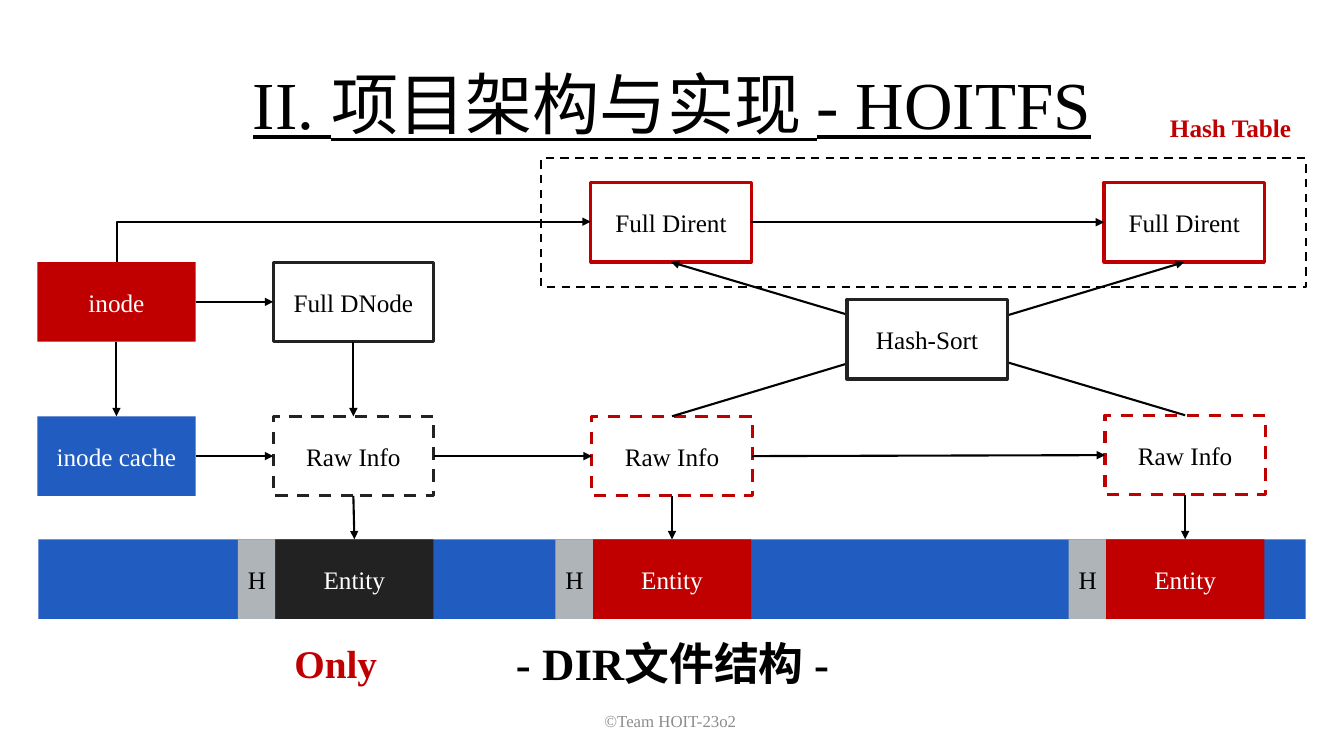
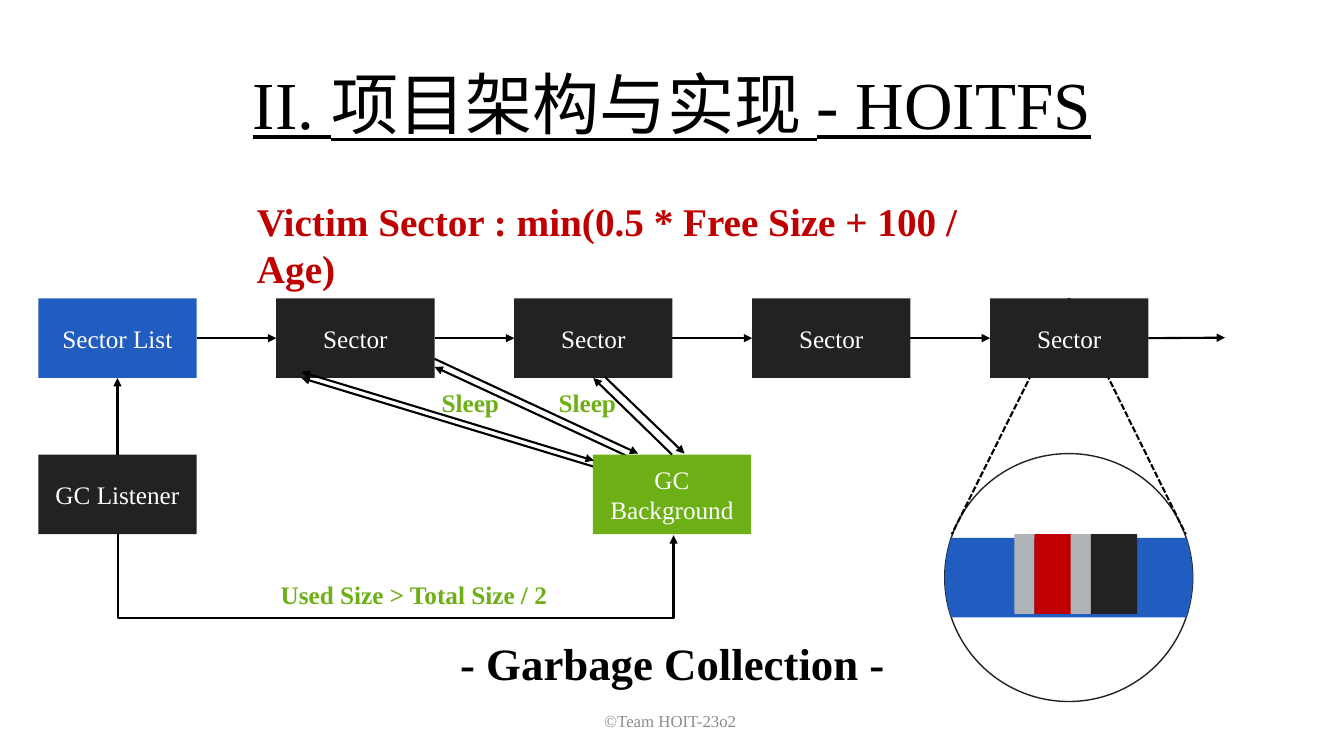
from dataclasses import dataclass
from math import asin, cos, pi, sin
from typing import Any, Optional

from lxml import etree
from pptx import Presentation
from pptx.dml.color import RGBColor
from pptx.enum.dml import MSO_LINE
from pptx.enum.shapes import MSO_CONNECTOR, MSO_SHAPE
from pptx.enum.text import MSO_ANCHOR, MSO_AUTO_SIZE, PP_ALIGN
from pptx.oxml.ns import qn
from pptx.util import Emu, Pt

# Shared style
RECT, OVAL = MSO_SHAPE.RECTANGLE, MSO_SHAPE.OVAL
STRAIGHT, ELBOW = MSO_CONNECTOR.STRAIGHT, MSO_CONNECTOR.ELBOW
DASH, FINE_DASH = MSO_LINE.DASH, MSO_LINE.SQUARE_DOT
TOP, MIDDLE = MSO_ANCHOR.TOP, MSO_ANCHOR.MIDDLE
LEFT, CENTER = PP_ALIGN.LEFT, PP_ALIGN.CENTER
NORTH, WEST, SOUTH, EAST = range(4)
FONT = "Times New Roman"
BLUE, RED, DARK, GREY = "215CC1", "C00000", "222222", "AFB4B9"
GREEN, BLACK, WHITE, FOOT = "6DB015", "000000", "FFFFFF", "8C8C8C"
EMU_PER_PX = 9144  # 100 px to the inch
BOX_W, FRAME_W, BOX_H = 157, 159, 79
TITLE = "II. 项目架构与实现 - HOITFS"
FOOTER = "©Team HOIT-23o2 "


@dataclass
class Box:
    x: int
    y: int
    text: str = ""
    fill: Optional[str] = None
    color: str = WHITE
    w: int = BOX_W
    h: int = BOX_H
    line: Optional[str] = None
    weight: float = 2.25
    dash: Any = None
    kind: Any = RECT


@dataclass
class Label:
    x: int
    y: int
    w: int
    h: int
    text: str
    size: int = 18
    color: str = RED
    bold: bool = True
    align: Any = CENTER
    anchor: Any = TOP


@dataclass
class Link:
    start: Any  # (shape, side) or (x, y)
    end: Any
    head: bool = False
    tail: bool = True
    dash: Any = None


def px(n: float) -> Emu:
    return Emu(round(n * EMU_PER_PX))


def rgb(value: str) -> RGBColor:
    return RGBColor.from_string(value)


def write(sp: Any, text: str, size: int, color: str, align: Any = CENTER,
          anchor: Any = MIDDLE, bold: bool = False, underline: bool = False) -> None:
    tf = sp.text_frame
    tf.word_wrap = True
    tf.auto_size = MSO_AUTO_SIZE.NONE
    tf.vertical_anchor = anchor
    p = tf.paragraphs[0]
    p.text = text
    p.alignment = align
    font = p.font
    font.name, font.size, font.bold = FONT, Pt(size), bold
    font.underline = underline
    font.color.rgb = rgb(color)


def paint(sp: Any, fill: Optional[str], line: Optional[str] = None,
          weight: float = 1, dash: Any = None) -> None:
    sp.shadow.inherit = False
    if fill:
        sp.fill.solid()
        sp.fill.fore_color.rgb = rgb(fill)
    else:
        sp.fill.background()
    if line:
        sp.line.color.rgb = rgb(line)
        sp.line.width = Pt(weight)
        if dash:
            sp.line.dash_style = dash
    else:
        sp.line.fill.background()


def add_box(s: Any, b: Box) -> Any:
    sp = s.shapes.add_shape(b.kind, px(b.x), px(b.y), px(b.w), px(b.h))
    paint(sp, b.fill, b.line, b.weight, b.dash)
    if b.text:
        write(sp, b.text, 18, b.color)
    return sp


def frame(x: int, y: int, text: str, line: str, dash: Any = None,
          fill: Optional[str] = None) -> Box:
    return Box(x, y, text, fill, BLACK, FRAME_W, line=line, dash=dash)


def add_label(s: Any, t: Label) -> None:
    sp = s.shapes.add_textbox(px(t.x), px(t.y), px(t.w), px(t.h))
    write(sp, t.text, t.size, t.color, t.align, t.anchor, t.bold)


def style_line(cx: Any, head: bool, tail: bool, dash: Any = None) -> None:
    cx.line.color.rgb = rgb(BLACK)
    cx.line.width = Pt(1.5)
    if dash:
        cx.line.dash_style = dash
    ln = cx.line._get_or_add_ln()
    for tag, shown in (("a:headEnd", head), ("a:tailEnd", tail)):
        if shown:
            etree.SubElement(ln, qn(tag)).set("type", "triangle")
    etree.SubElement(cx._element.spPr, qn("a:effectLst"))


def add_link(s: Any, link: Link) -> None:
    glued = [not isinstance(end[0], int) for end in (link.start, link.end)]
    x1, y1 = (0, 0) if glued[0] else link.start
    x2, y2 = (0, 0) if glued[1] else link.end
    cx = s.shapes.add_connector(STRAIGHT, px(x1), px(y1), px(x2), px(y2))
    if glued[0]:
        cx.begin_connect(*link.start)
    if glued[1]:
        cx.end_connect(*link.end)
    style_line(cx, link.head, link.tail, link.dash)


def add_elbow(s: Any, start: tuple[int, int], end: tuple[int, int], preset: str,
              turn: int, flips: str, bend: Optional[int] = None) -> None:
    """Elbow that leaves vertically: a box turned by a quarter about its centre."""
    (x1, y1), (x2, y2) = start, end
    w, h = abs(y2 - y1), abs(x2 - x1)
    left, top = (x1 + x2 - w) / 2, (y1 + y2 - h) / 2
    cx = s.shapes.add_connector(ELBOW, px(left), px(top), px(left + w), px(top + h))
    xfrm = cx._element.spPr.find(qn("a:xfrm"))
    xfrm.set("rot", str(turn * 60000))
    for flip in flips:
        xfrm.set("flip" + flip, "1")
    geom = cx._element.spPr.find(qn("a:prstGeom"))
    geom.set("prst", preset)
    if bend is not None:
        guides = geom.find(qn("a:avLst"))
        if guides is None:
            guides = etree.SubElement(geom, qn("a:avLst"))
        guide = etree.SubElement(guides, qn("a:gd"))
        guide.set("name", "adj1")
        guide.set("fmla", f"val {bend * 100000}")
    style_line(cx, False, True)


def new_slide(prs: Any, caption: str) -> Any:
    s = prs.slides.add_slide(prs.slide_layouts[5])
    title = s.shapes.title
    title.left, title.top, title.width, title.height = px(128), px(57), px(1077), px(91)
    write(title, TITLE, 48, BLACK, anchor=TOP, underline=True)
    add_label(s, Label(442, 695, 450, 40, FOOTER, 12, FOOT, False, anchor=MIDDLE))
    add_label(s, Label(288, 626, 758, 64, caption, 32, BLACK))
    return s


def dir_slide(prs: Any) -> None:
    s = new_slide(prs, "- DIR 文件结构 -".replace("DIR ", "DIR"))

    # Flash band with headers and entities
    add_box(s, Box(38, 535, fill=BLUE, w=1257))
    entities = []
    for x, fill in ((273, DARK), (588, RED), (1097, RED)):
        entities.append(add_box(s, Box(x, 535, "Entity", fill)))
        add_box(s, Box(x - 37, 535, "H", GREY, BLACK, 37))

    # Nodes
    inode = add_box(s, Box(37, 260, "inode", RED))
    cache = add_box(s, Box(37, 413, "inode cache", BLUE))
    dnode = add_box(s, frame(271, 260, "Full DNode", DARK))
    raws = [add_box(s, frame(x, y, "Raw Info", line, DASH))
            for x, y, line in ((271, 413, DARK), (587, 413, RED), (1096, 412, RED))]
    dirents = [add_box(s, frame(x, 181, "Full Dirent", RED)) for x in (586, 1095)]

    # Arrows
    chain = [cache, *raws]
    across = [*zip(chain, chain[1:]), (inode, dnode), tuple(dirents)]
    down = [*zip(raws, entities), (inode, cache), (dnode, raws[0])]
    up = [(raws[2], dirents[0]), (raws[1], dirents[1])]
    for pairs, out, into in ((across, EAST, WEST), (down, SOUTH, NORTH), (up, NORTH, SOUTH)):
        for a, b in pairs:
            add_link(s, Link((a, out), (b, into)))
    add_elbow(s, (116, 260), (586, 220), "bentConnector2", 90, "HV")

    # Hash table
    add_box(s, frame(840, 297, "Hash-Sort", DARK, fill=WHITE))
    add_box(s, Box(537, 157, w=758, h=128, line=BLACK, weight=1.5, dash=DASH))
    add_label(s, Label(1147, 107, 147, 40, "Hash Table"))
    add_label(s, Label(236, 629, 194, 57, "Only", 28))


def add_zoom(s: Any, cx: int, cy: int, radius: int) -> None:
    """Circle showing the strips inside one sector."""
    add_box(s, Box(cx - radius, cy - radius, w=2 * radius, h=2 * radius,
                   line=DARK, weight=1, kind=OVAL))
    half = asin(BOX_H / 2 / radius)
    steps = 12
    points = [(px(cx + radius * cos(a)), px(cy + radius * sin(a)))
              for middle in (0, pi)
              for a in (middle + half * (2 * i / steps - 1) for i in range(steps + 1))]
    outline = s.shapes.build_freeform(*points[0])
    outline.add_line_segments(points[1:], close=True)
    paint(outline.convert_to_shape(), BLUE)
    for x, w, fill in ((1006, 20, GREY), (1026, 37, RED), (1062, 20, GREY), (1082, 46, DARK)):
        add_box(s, Box(x, 530, fill=fill, w=w))


def gc_slide(prs: Any) -> None:
    s = new_slide(prs, "- Garbage Collection -")
    add_zoom(s, 1060, 573, 123)

    # Sector list
    row = [add_box(s, Box(38 + 236 * i, 296, "Sector" if i else "Sector List",
                          DARK if i else BLUE)) for i in range(5)]
    last = row[-1]
    for x in (944, 1176):
        add_link(s, Link((last, NORTH), (x, 530), tail=False, dash=FINE_DASH))
    s.shapes._spTree.append(last._element)  # sector covers the zoom lines
    for a, b in zip(row, row[1:]):
        add_link(s, Link((a, EAST), (b, WEST)))
    add_link(s, Link((last, EAST), (1215, 335)))

    # Listener and background collector
    listener = add_box(s, Box(38, 451, "GC Listener", DARK))
    add_link(s, Link((listener, NORTH), (row[0], SOUTH)))
    add_link(s, Link((589, 463), (299, 375)))
    add_link(s, Link((621, 452), (431, 364)))
    collector = add_box(s, Box(588, 451, "GC Background", GREEN))
    add_elbow(s, (117, 530), (668, 531), "bentConnector3", 270, "H", 84)
    add_link(s, Link((633, 450), (431, 356), head=True, tail=False))
    add_link(s, Link((589, 457), (299, 369), head=True))
    add_link(s, Link((collector, NORTH), (row[2], SOUTH)))
    add_link(s, Link((679, 450), (600, 374), head=True, tail=False))

    # Notes on the flow
    for x in (423, 539):
        add_label(s, Label(x, 379, 87, 40, "Sleep", color=GREEN))
    add_label(s, Label(268, 570, 285, 40, "Used Size > Total Size / 2", color=GREEN))
    add_label(s, Label(245, 191, 788, 57,
                       "Victim Sector : min(0.5 * Free Size + 100 / Age)", 28, align=LEFT))


def main() -> None:
    prs = Presentation()
    prs.slide_width, prs.slide_height = px(1333), px(750)
    dir_slide(prs)
    gc_slide(prs)
    prs.save("out.pptx")


if __name__ == "__main__":
    main()
